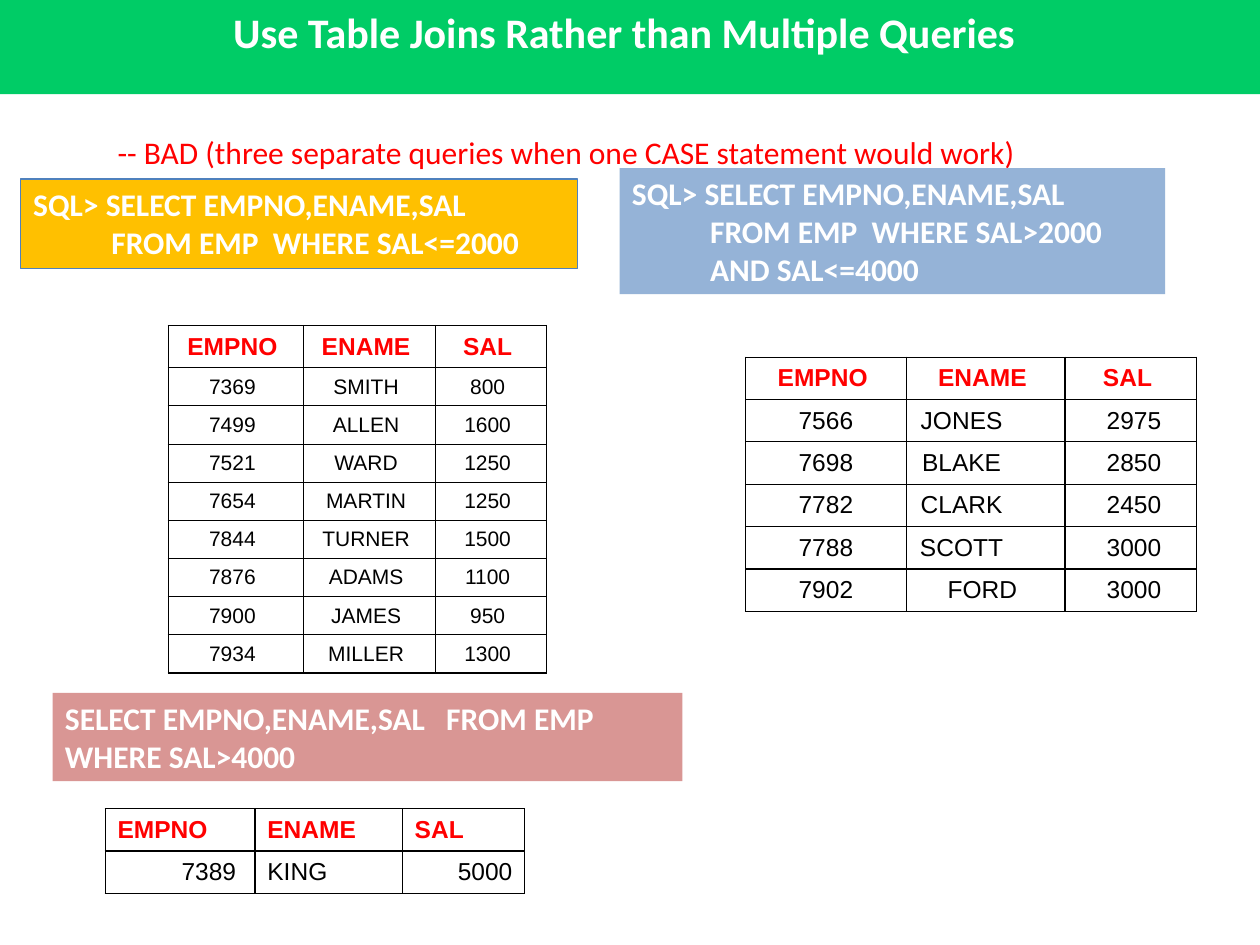
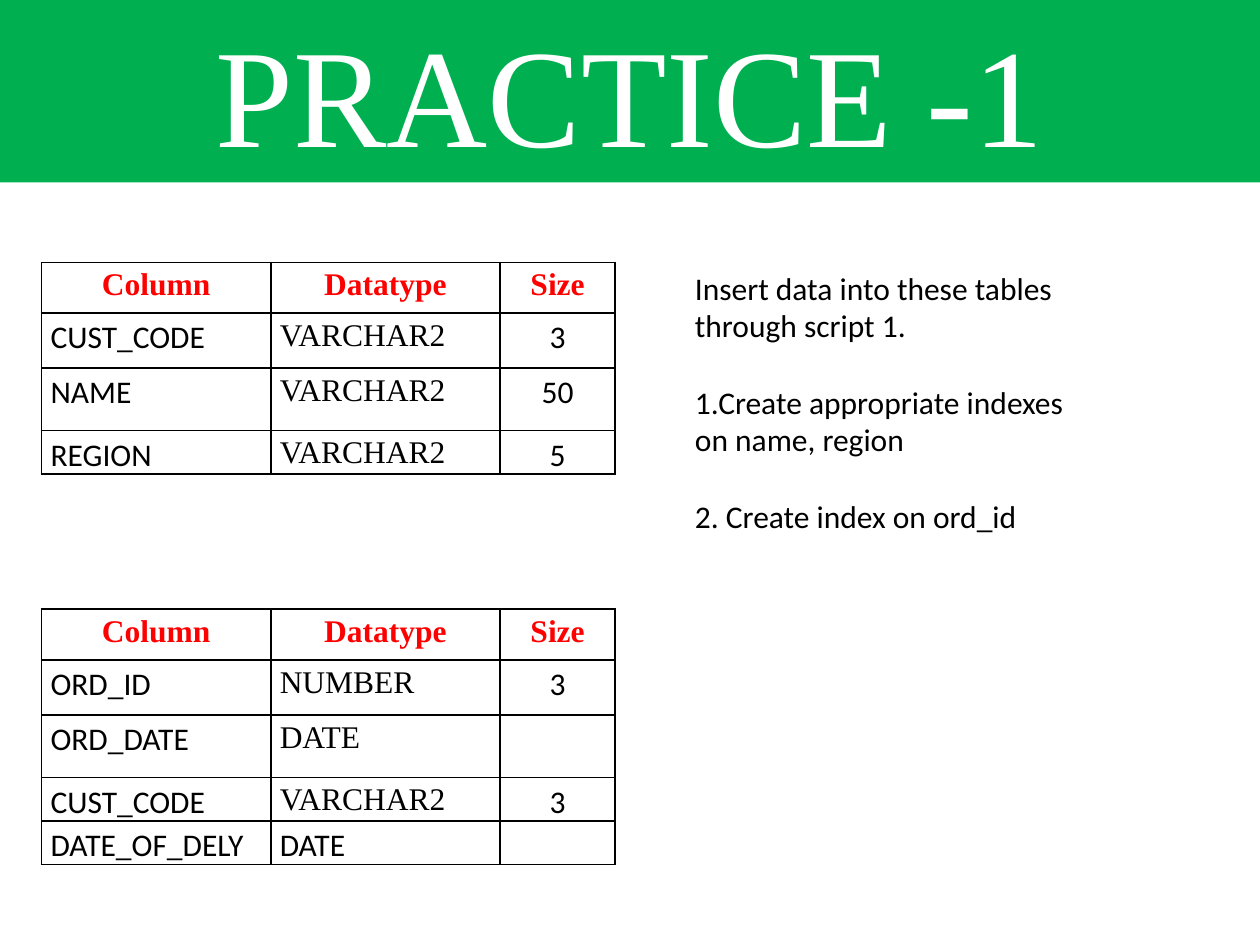
"""Build two slides on table joins and index practice."""
from lxml import etree
from pptx import Presentation
from pptx import util as u
from pptx.dml import color
from pptx.enum import shapes, text
from pptx.oxml import ns

COLORS = {
    "join_band": "00CC66", "practice_band": "00B050", "white": "FFFFFF",
    "black": "000000", "red": "FF0000", "amber": "FFC000",
    "blue": "95B3D7", "rose": "D99694", "outline": "4F81BD",
}
ALIGN = {"l": text.PP_ALIGN.LEFT, "c": text.PP_ALIGN.CENTER, "r": text.PP_ALIGN.RIGHT}
TOP, MIDDLE = text.MSO_ANCHOR.TOP, text.MSO_ANCHOR.MIDDLE
SLIDE_WIDTH, SLIDE_HEIGHT = 25.4, 19.05
BODY = {"name": "Calibri", "size": 18, "color": "black", "bold": False}
QUERY = {**BODY, "color": "white", "bold": True}
WARNING = {**BODY, "color": "red"}
JOIN_TITLE = {**QUERY, "size": 24}
PRACTICE_TITLE = {**QUERY, "name": "Times New Roman", "size": 80, "bold": False}

EMPLOYEE_HEADER = ("EMPNO", "ENAME", "SAL")
COLUMN_HEADER = ("Column", "Datatype", "Size")
PLAIN, NUDGED_LEFT, NUDGED_RIGHT = (0.25, 0.25), (0.25, 0.38), (0.38, 0.25)

WARNING_TEXT = "-- BAD (three separate queries when one CASE statement would work)"
QUERIES = [
    (("SQL> SELECT EMPNO,ENAME,SAL", "           FROM EMP  WHERE SAL<=2000"),
     (0.42, 3.61, 11.23, 1.8), "amber", "outline"),
    (("SQL> SELECT EMPNO,ENAME,SAL", "           FROM EMP  WHERE SAL>2000",
      "           AND SAL<=4000"), (12.49, 3.39, 11, 2.54), "blue", None),
    (("SELECT EMPNO,ENAME,SAL   FROM EMP  WHERE SAL>4000",),
     (1.06, 13.97, 12.7, 1.78), "rose", None),
]
TASKS = [
    "Insert data into these tables through script 1.",
    "1.Create appropriate indexes on name, region",
    "2. Create index on ord_id",
]

EMPLOYEE_STYLE = {
    "header": EMPLOYEE_HEADER, "header_align": "ccc", "body_align": "ccc",
    "header_font": {"name": "Arial", "size": 14, "color": "red", "bold": True},
    "body_fonts": [{"name": "Arial", "size": 14, "color": "black", "bold": False}] * 3,
    "header_margins": [NUDGED_LEFT] * 3, "vertical_margin": 0.13,
    "anchor": MIDDLE, "line_spacing": 1, "border": 0.75, "exceptions": {},
}
COLUMN_STYLE = {
    "header": COLUMN_HEADER, "header_align": "ccc", "body_align": "llc",
    "header_font": {**BODY, "name": "Times New Roman", "color": "red", "bold": True},
    "body_fonts": [BODY, {**BODY, "name": "Times New Roman"}, BODY],
    "header_margins": [(0.18, 0.18)] * 3, "body_margins": [(0.18, 0.18)] * 3,
    "vertical_margin": 0, "anchor": TOP, "line_spacing": 1.15, "border": 1,
    "widths": (4.62, 4.62, 2.32), "exceptions": {},
}
EMPLOYEE_TABLES = [
    {**EMPLOYEE_STYLE, "place": (3.39, 6.56), "widths": (2.72, 2.67, 2.23),
     "heights": [0.85] + [0.76] * 8, "body_margins": [NUDGED_LEFT] * 3,
     "body_fonts": [{**EMPLOYEE_STYLE["body_fonts"][0], "size": 12}] * 3,
     "rows": [("7369", "SMITH", "800"), ("7499", "ALLEN", "1600"),
              ("7521", "WARD", "1250"), ("7654", "MARTIN", "1250"),
              ("7844", "TURNER", "1500"), ("7876", "ADAMS", "1100"),
              ("7900", "JAMES", "950"), ("7934", "MILLER", "1300")]},
    {**EMPLOYEE_STYLE, "place": (15.03, 7.2), "widths": (3.24, 3.2, 2.65),
     "heights": [0.85] * 6, "body_margins": [PLAIN, (0.25, 1.22), NUDGED_RIGHT],
     "exceptions": {(5, 1): {"margins": NUDGED_LEFT}},
     "rows": [("7566", "JONES", "2975"), ("7698", "BLAKE", "2850"),
              ("7782", "CLARK", "2450"), ("7788", "SCOTT", "3000"),
              ("7902", "FORD", "3000")]},
    {**EMPLOYEE_STYLE, "place": (2.12, 16.3), "widths": (3.02, 2.97, 2.47),
     "heights": [0.85] * 2, "header_align": "lll", "body_align": "rlr",
     "header_margins": [PLAIN] * 3, "body_margins": [NUDGED_LEFT, PLAIN, PLAIN],
     "rows": [("7389", "KING", "5000")]},
]
COLUMN_TABLES = [
    {**COLUMN_STYLE, "place": (0.84, 5.29), "heights": (1.02, 1.11, 1.26, 0.88),
     "rows": [("CUST_CODE", "VARCHAR2", "3"), ("NAME", "VARCHAR2", "50"),
              ("REGION", "VARCHAR2", "5")]},
    {**COLUMN_STYLE, "place": (0.84, 12.28), "heights": (1.02, 1.11, 1.26, 0.88, 0.88),
     "exceptions": {(4, 1): {"font": BODY}},
     "rows": [("ORD_ID", "NUMBER", "3"), ("ORD_DATE", "DATE", ""),
              ("CUST_CODE", "VARCHAR2", "3"), ("DATE_OF_DELY", "DATE", "")]},
]


def rgb(name):
    return color.RGBColor.from_string(COLORS[name])


def set_values(target, values):
    for name, value in values.items():
        setattr(target, name, value)


def format_font(font, style):
    set_values(font, {"name": style["name"], "size": u.Pt(style["size"]),
                      "bold": style["bold"]})
    font.color.rgb = rgb(style["color"])


def write(frame, lines, style, align="l", gap=0, line_spacing=1):
    for index, line in enumerate(lines):
        paragraph = frame.add_paragraph() if index else frame.paragraphs[0]
        set_values(paragraph, {"text": line, "alignment": ALIGN[align],
                               "line_spacing": line_spacing,
                               "space_before": u.Pt(gap if index else 0)})
        format_font(paragraph.font, style)


def add_box(slide, place, lines, style, fill=None, line=None, align="l",
            anchor=TOP, gap=0, right_margin=0.25):
    lengths = [u.Cm(value) for value in place]
    if fill:
        shape = slide.shapes.add_shape(shapes.MSO_SHAPE.RECTANGLE, *lengths)
        shape.shadow.inherit = False
        shape.fill.solid()
        shape.fill.fore_color.rgb = rgb(fill)
        if line:
            shape.line.color.rgb = rgb(line)
            shape.line.width = u.Pt(0.75)
        else:
            shape.line.fill.background()
    else:
        shape = slide.shapes.add_textbox(*lengths)
    set_values(shape.text_frame, {"word_wrap": True, "vertical_anchor": anchor,
                                  "margin_right": u.Cm(right_margin)})
    write(shape.text_frame, lines, style, align, gap)


def add_title_band(slide, title, height, style, fill, **options):
    add_box(slide, (0, 0, SLIDE_WIDTH, height), [title], style, fill, align="c", **options)


def add_borders(cell, width):
    properties = cell._tc.get_or_add_tcPr()
    for side in ("a:lnL", "a:lnR", "a:lnT", "a:lnB"):
        border = etree.SubElement(properties, ns.qn(side), w=str(u.Pt(width)))
        fill = etree.SubElement(border, ns.qn("a:solidFill"))
        etree.SubElement(fill, ns.qn("a:srgbClr"), val=COLORS["black"])


def add_table(slide, spec):
    rows = [spec["header"], *spec["rows"]]
    widths, heights = spec["widths"], spec["heights"]
    lengths = [u.Cm(value) for value in (*spec["place"], sum(widths), sum(heights))]
    table = slide.shapes.add_table(len(rows), len(widths), *lengths).table
    set_values(table, {"first_row": False, "horz_banding": False})
    for column, width in zip(table.columns, widths):
        column.width = u.Cm(width)
    for row, height in zip(table.rows, heights):
        row.height = u.Cm(height)
    for row, values in enumerate(rows):
        part = "body" if row else "header"
        for column, value in enumerate(values):
            exception = spec["exceptions"].get((row, column), {})
            left, right = exception.get("margins", spec[part + "_margins"][column])
            font = spec["body_fonts"][column] if row else spec["header_font"]
            cell = table.cell(row, column)
            add_borders(cell, spec["border"])
            cell.fill.background()
            set_values(cell, {"margin_left": u.Cm(left), "margin_right": u.Cm(right),
                              "margin_top": u.Cm(spec["vertical_margin"]),
                              "margin_bottom": u.Cm(spec["vertical_margin"]),
                              "vertical_anchor": spec["anchor"]})
            write(cell.text_frame, [value], exception.get("font", font),
                  spec[part + "_align"][column], line_spacing=spec["line_spacing"])


def build_joins(slide):
    add_title_band(slide, "Use Table Joins Rather than Multiple Queries", 1.9,
                   JOIN_TITLE, "join_band", right_margin=0.48)
    add_box(slide, (2.12, 2.54, 20.7, 1.03), [WARNING_TEXT], WARNING, anchor=MIDDLE)
    for lines, place, fill, line in QUERIES:
        add_box(slide, place, lines, QUERY, fill, line)
    for spec in EMPLOYEE_TABLES:
        add_table(slide, spec)


def build_practice(slide):
    add_title_band(slide, "PRACTICE -1", 3.68, PRACTICE_TITLE, "practice_band",
                   anchor=MIDDLE)
    for spec in COLUMN_TABLES:
        add_table(slide, spec)
    add_box(slide, (13.76, 5.29, 8.69, 5.64), TASKS, BODY, gap=22)


def main():
    presentation = Presentation()
    set_values(presentation, {"slide_width": u.Cm(SLIDE_WIDTH),
                              "slide_height": u.Cm(SLIDE_HEIGHT)})
    for build in (build_joins, build_practice):
        build(presentation.slides.add_slide(presentation.slide_layouts[6]))
    presentation.save("out.pptx")


if __name__ == "__main__":
    main()
